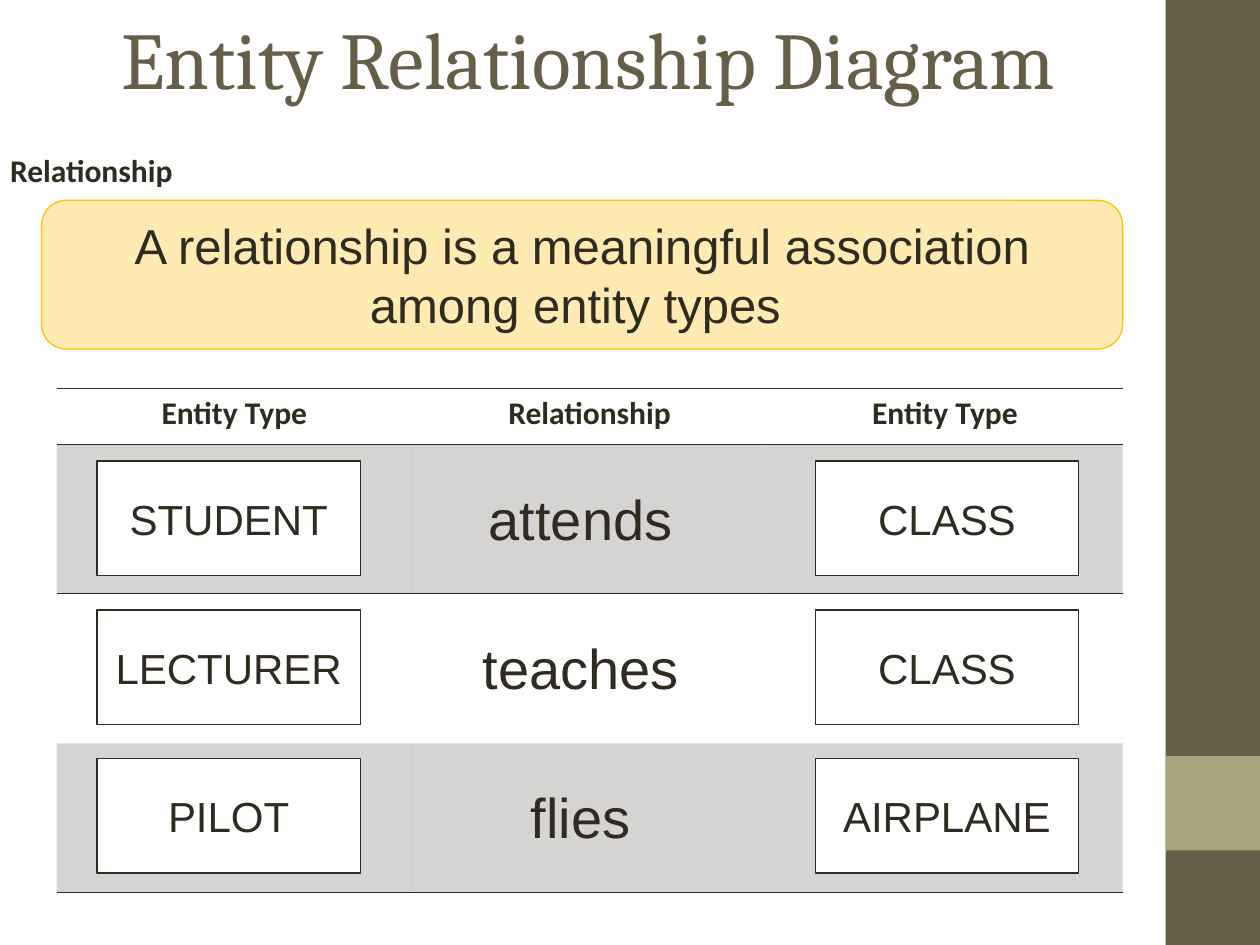
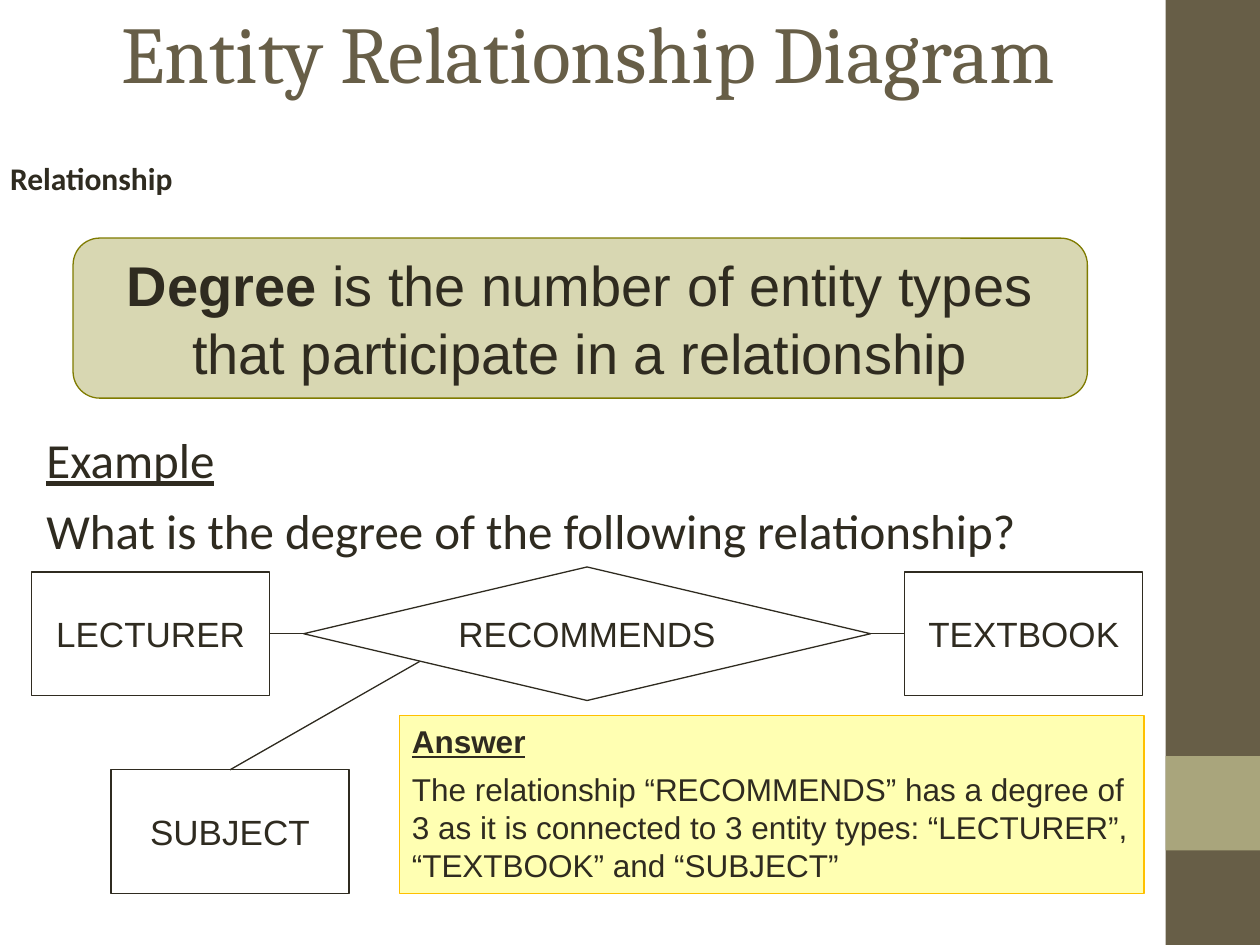
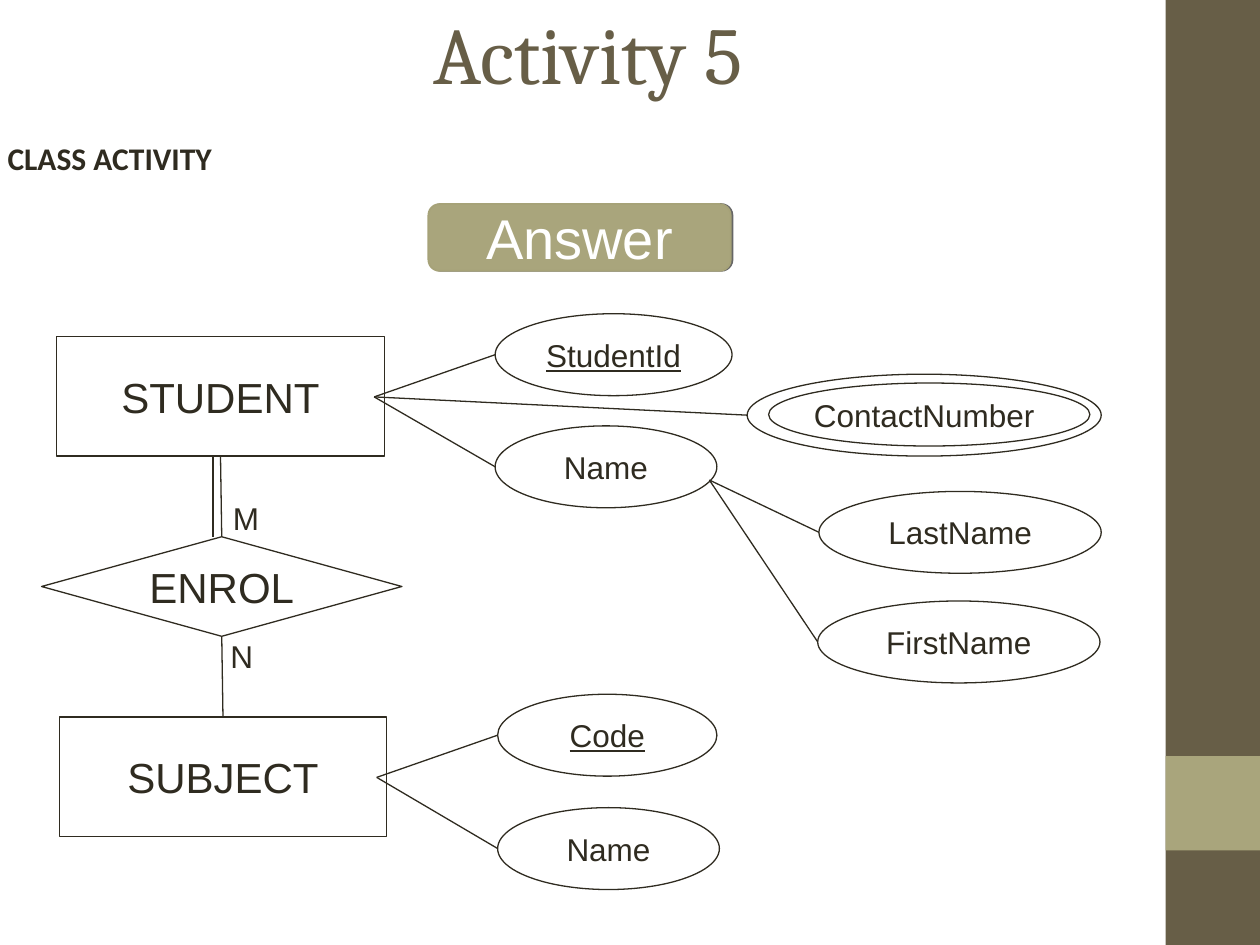
"""Builds three slides about entity relationship diagrams."""
from dataclasses import dataclass

from lxml import etree
from pptx import Presentation
from pptx.dml.color import RGBColor
from pptx.enum import shapes, text
from pptx.oxml import ns
from pptx.util import Emu, Inches, Pt

INK, BROWN, OLIVE, WHITE = "2F2B20", "675E47", "A9A57C", "FFFFFF"
AMBER, YELLOW, MOSS = "FFC000", "FFFF00", "7F7B00"
PLAIN_TABLE = "{2D5ABB26-0587-4C30-8999-92F81FD0307C}"
RECTANGLE = shapes.MSO_SHAPE.RECTANGLE
ROUNDED = shapes.MSO_SHAPE.ROUNDED_RECTANGLE
DIAMOND = shapes.MSO_SHAPE.DIAMOND
OVAL = shapes.MSO_SHAPE.OVAL
LEFT, CENTER = text.PP_ALIGN.LEFT, text.PP_ALIGN.CENTER
TOP, MIDDLE = text.MSO_ANCHOR.TOP, text.MSO_ANCHOR.MIDDLE
SIDE_TOP, SIDE_LEFT, SIDE_BOTTOM, SIDE_RIGHT = range(4)

Box = tuple[float, float, float, float]
Point = tuple[float, float]


@dataclass(frozen=True)
class Line:
    """One paragraph, with an optional bold lead."""
    words: str
    size: float
    font: str = "Arial"
    color: str = INK
    bold: bool = False
    underline: bool = False
    align: text.PP_ALIGN = CENTER
    before: float = 0
    after: float = 0
    spacing: float = 0
    lead: str = ""


@dataclass(frozen=True)
class Node:
    """One outlined part of a diagram."""
    kind: shapes.MSO_SHAPE
    box: Box
    label: str = ""
    size: float = 18
    fill: str = ""
    underline: bool = False


def rgb(color: str) -> RGBColor:
    """Turn a hex string into a colour."""
    return RGBColor.from_string(color)


def inches(values: tuple[float, ...]) -> list[Emu]:
    """Turn numbers into lengths."""
    return [Inches(value) for value in values]


def child(parent, tag: str, **attributes):
    """Append a drawing element."""
    return etree.SubElement(parent, ns.qn(tag), attributes)


def set_alpha(properties, percent: int) -> None:
    """Make the solid fill of a shape or cell see-through."""
    color = properties.find(ns.qn("a:solidFill")).find(ns.qn("a:srgbClr"))
    child(color, "a:alpha", val=str(percent * 1000))


def write(frame, lines: list[Line], anchor=MIDDLE, wrap: bool = True) -> None:
    """Fill a text frame with paragraphs."""
    frame.word_wrap = wrap
    frame.vertical_anchor = anchor
    for index, line in enumerate(lines):
        paragraph = frame.add_paragraph() if index else frame.paragraphs[0]
        write_line(paragraph, line)


def write_line(paragraph, line: Line) -> None:
    """Write and format one paragraph."""
    paragraph.alignment = line.align
    if line.spacing:
        paragraph.line_spacing = Pt(line.spacing)
    if line.before:
        paragraph.space_before = Pt(line.before)
    if line.after:
        paragraph.space_after = Pt(line.after)
    font = paragraph.font
    font.size, font.name = Pt(line.size), line.font
    font.bold, font.underline = line.bold, line.underline
    font.color.rgb = rgb(line.color)
    if line.lead:
        run = paragraph.add_run()
        run.text = line.lead
        run.font.bold = True
    paragraph.add_run().text = line.words


def add_text(slide, box: Box, lines: list[Line], anchor=TOP, wrap: bool = True):
    """Add a text box."""
    shape = slide.shapes.add_textbox(*inches(box))
    write(shape.text_frame, lines, anchor, wrap)
    return shape


def add_shape(slide, kind, box: Box, fill: str = "", outline: str = "", alpha: int = 100):
    """Add a preset shape without shadow."""
    shape = slide.shapes.add_shape(kind, *inches(box))
    shape.shadow.inherit = False
    if fill:
        shape.fill.solid()
        shape.fill.fore_color.rgb = rgb(fill)
    else:
        shape.fill.background()
    if outline:
        shape.line.color.rgb = rgb(outline)
        shape.line.width = Pt(0.75)
    else:
        shape.line.fill.background()
    if alpha < 100:
        set_alpha(shape._element.spPr, alpha)
    return shape


def add_node(slide, node: Node):
    """Add an outlined diagram part with its label."""
    shape = add_shape(slide, node.kind, node.box, node.fill, INK)
    if node.label:
        line = Line(node.label, node.size, underline=node.underline)
        write(shape.text_frame, [line], wrap=False)
    return shape


def add_line(slide, start: Point = (0, 0), end: Point = (0, 0)):
    """Add a thin straight connector."""
    line = slide.shapes.add_connector(
        shapes.MSO_CONNECTOR.STRAIGHT, *inches(start + end))
    line.line.color.rgb = rgb(INK)
    line.line.width = Pt(0.75)
    child(line._element.spPr, "a:effectLst")
    return line


def join(slide, first, first_side: int, second, second_side: int) -> None:
    """Connect the sides of two shapes."""
    line = add_line(slide)
    line.begin_connect(first, first_side)
    line.end_connect(second, second_side)


def add_slide(presentation, title: str, title_height: float, heading: str, corner: Point):
    """Add a slide with side bands, title and heading."""
    slide = presentation.slides.add_slide(presentation.slide_layouts[6])
    add_shape(slide, RECTANGLE, (9.25, 0, 0.75, 7.5), BROWN)
    add_shape(slide, RECTANGLE, (9.25, 6, 0.75, 0.75), OLIVE)
    add_text(slide, (0.5, 0, 8.33, title_height),
             [Line(title, 46, "Cambria", BROWN)], MIDDLE)
    label = add_text(slide, (*corner, 2.35, 0.35), [
        Line(heading, 18, "Calibri", bold=True, align=LEFT, spacing=18)])
    frame = label.text_frame
    frame.margin_left = frame.margin_right = Inches(0.08)
    frame.margin_top = frame.margin_bottom = 0
    return slide


def add_border(cell, tag: str) -> None:
    """Draw one border of a table cell."""
    border = etree.Element(ns.qn(tag), w=str(Pt(0.45)))
    child(child(border, "a:solidFill"), "a:srgbClr", val=INK)
    cell._tc.get_or_add_tcPr().insert(0, border)


def add_striped_table(slide, headers: list[str]) -> None:
    """Add the table that lies behind the entity boxes."""
    frame = slide.shapes.add_table(4, 3, *inches((0.45, 3.08, 8.46, 4)))
    frame._element.find(".//" + ns.qn("a:tableStyleId")).text = PLAIN_TABLE
    table = frame.table
    for column in table.columns:
        column.width = Inches(2.82)
    for row, height in zip(table.rows, (0.45, 1.18, 1.19, 1.18)):
        row.height = Inches(height)
    for number, row in enumerate(table.rows):
        for header, cell in zip(headers, row.cells):
            if number % 2:
                cell.fill.solid()
                cell.fill.fore_color.rgb = rgb(INK)
                set_alpha(cell._tc.tcPr, 20)
            else:
                cell.fill.background()
            if number == 0:
                write_line(cell.text_frame.paragraphs[0],
                           Line(header, 18, "Calibri", bold=True))
            if number == 3:
                add_border(cell, "a:lnB")
            if number < 2:
                add_border(cell, "a:lnT")


def build_relationship(presentation) -> None:
    """Build the slide that defines a relationship."""
    slide = add_slide(presentation, "Entity Relationship Diagram", 0.91,
                      "Relationship", (0, 1.25))
    definition = add_shape(slide, ROUNDED, (0.33, 1.59, 8.58, 1.18), AMBER, AMBER, 30)
    write(definition.text_frame, [
        Line("A relationship is a meaningful association among entity types ", 28)])
    add_striped_table(slide, ["Entity Type", "Relationship", "Entity Type"])
    examples = [("STUDENT", "attends", "CLASS"),
                ("LECTURER", "teaches", "CLASS"),
                ("PILOT", "flies", "AIRPLANE")]
    for row, (subject, verb, target) in enumerate(examples):
        top = 3.66 + 1.18 * row
        for left, entity in ((0.77, subject), (6.47, target)):
            add_node(slide, Node(RECTANGLE, (left, top, 2.09, 0.91), entity, 24, WHITE))
        add_text(slide, (3.31, top + 0.14, 2.6, 0.64), [Line(verb, 32)])


def build_degree(presentation) -> None:
    """Build the slide that defines the degree of a relationship."""
    slide = add_slide(presentation, "Entity Relationship Diagram", 0.81,
                      "Relationship", (0, 1.31))
    definition = add_shape(slide, ROUNDED, (0.58, 1.89, 8.05, 1.27), MOSS, MOSS, 30)
    write(definition.text_frame, [
        Line(" is the number of entity types that participate in a relationship",
             32, lead="Degree")])
    add_text(slide, (0.27, 3.36, 8.9, 1.18), [
        Line("Example", 28, "Calibri", underline=True, align=LEFT),
        Line("What is the degree of the following relationship?", 28, "Calibri",
             align=LEFT, before=7)])
    answer = add_shape(slide, RECTANGLE, (3.17, 5.68, 5.91, 1.41), YELLOW, AMBER, 30)
    write(answer.text_frame, [
        Line("Answer", 18, bold=True, underline=True, align=LEFT, after=6),
        Line("The relationship “RECOMMENDS” has a degree of 3 as it is connected to "
             "3 entity types: “LECTURER”, “TEXTBOOK” and “SUBJECT”", 18, align=LEFT)],
        TOP)
    lecturer, textbook, subject = [
        add_node(slide, Node(RECTANGLE, (left, top, 1.89, 0.98), label, 20))
        for left, top, label in ((0.25, 4.54, "LECTURER"), (7.18, 4.54, "TEXTBOOK"),
                                 (0.88, 6.11, "SUBJECT"))]
    recommends = add_node(slide, Node(DIAMOND, (2.41, 4.5, 4.5, 1.06), "RECOMMENDS", 20))
    join(slide, lecturer, SIDE_RIGHT, recommends, SIDE_LEFT)
    join(slide, recommends, SIDE_RIGHT, textbook, SIDE_LEFT)
    add_line(slide, (3.33, 5.25)).end_connect(subject, SIDE_TOP)


def add_attributes(slide, start: Point, nodes: list[Node]) -> None:
    """Add ovals, each linked from one point to its left end."""
    for node in nodes:
        add_node(slide, node)
        left, top, _, height = node.box
        add_line(slide, start, (left, top + height / 2))


def add_answer_button(slide) -> None:
    """Add the answer button with its hard shadow."""
    button = add_shape(slide, ROUNDED, (3.4, 1.62, 2.4, 0.53), OLIVE, "A6A278")
    button.line.width = Pt(1)
    write(button.text_frame, [Line("Answer", 32, color=WHITE)])
    effects = button._element.spPr.find(ns.qn("a:effectLst"))
    shadow = child(effects, "a:outerShdw", dist=str(Pt(1)), dir="0")
    child(child(shadow, "a:srgbClr", val="000000"), "a:alpha", val="60000")


def build_activity(presentation) -> None:
    """Build the slide with the answer to the class activity."""
    slide = add_slide(presentation, "Activity 5", 0.83, "CLASS ACTIVITY", (-0.02, 1.15))
    subject = add_node(slide, Node(RECTANGLE, (0.47, 5.69, 2.6, 0.95), "SUBJECT", 24))
    student = add_node(slide, Node(RECTANGLE, (0.45, 2.67, 2.6, 0.95), "STUDENT", 24))
    add_attributes(slide, (2.99, 6.17), [
        Node(OVAL, (3.95, 5.51, 1.74, 0.65), "Code", underline=True),
        Node(OVAL, (3.95, 6.41, 1.76, 0.65), "Name")])
    add_attributes(slide, (2.97, 3.15), [
        Node(OVAL, (3.93, 2.49, 1.88, 0.65), "StudentId", underline=True),
        Node(OVAL, (5.93, 2.97, 2.81, 0.65), "ContactNumber"),
        Node(OVAL, (3.93, 3.38, 1.76, 0.65), "Name")])
    add_attributes(slide, (5.63, 3.81), [
        Node(OVAL, (6.5, 3.9, 2.24, 0.65), "LastName"),
        Node(OVAL, (6.49, 4.77, 2.24, 0.65), "FirstName")])
    add_node(slide, Node(OVAL, (6.1, 3.04, 2.55, 0.5)))
    add_answer_button(slide)
    for left, top, label in ((1.73, 5.01, "N"), (1.75, 3.91, "M")):
        add_text(slide, (left, top, 0.39, 0.39), [Line(label, 18, align=LEFT)], wrap=False)
    enrol = add_node(slide, Node(DIAMOND, (0.33, 4.26, 2.86, 0.79), "ENROL", 24))
    add_line(slide, (1.69, 4.26), (1.69, 3.62))
    join(slide, subject, SIDE_TOP, enrol, SIDE_BOTTOM)
    join(slide, student, SIDE_BOTTOM, enrol, SIDE_TOP)


def main() -> None:
    """Build and save the presentation."""
    presentation = Presentation()
    presentation.slide_width = Inches(10)
    presentation.slide_height = Inches(7.5)
    build_relationship(presentation)
    build_degree(presentation)
    build_activity(presentation)
    presentation.save("out.pptx")


if __name__ == "__main__":
    main()
